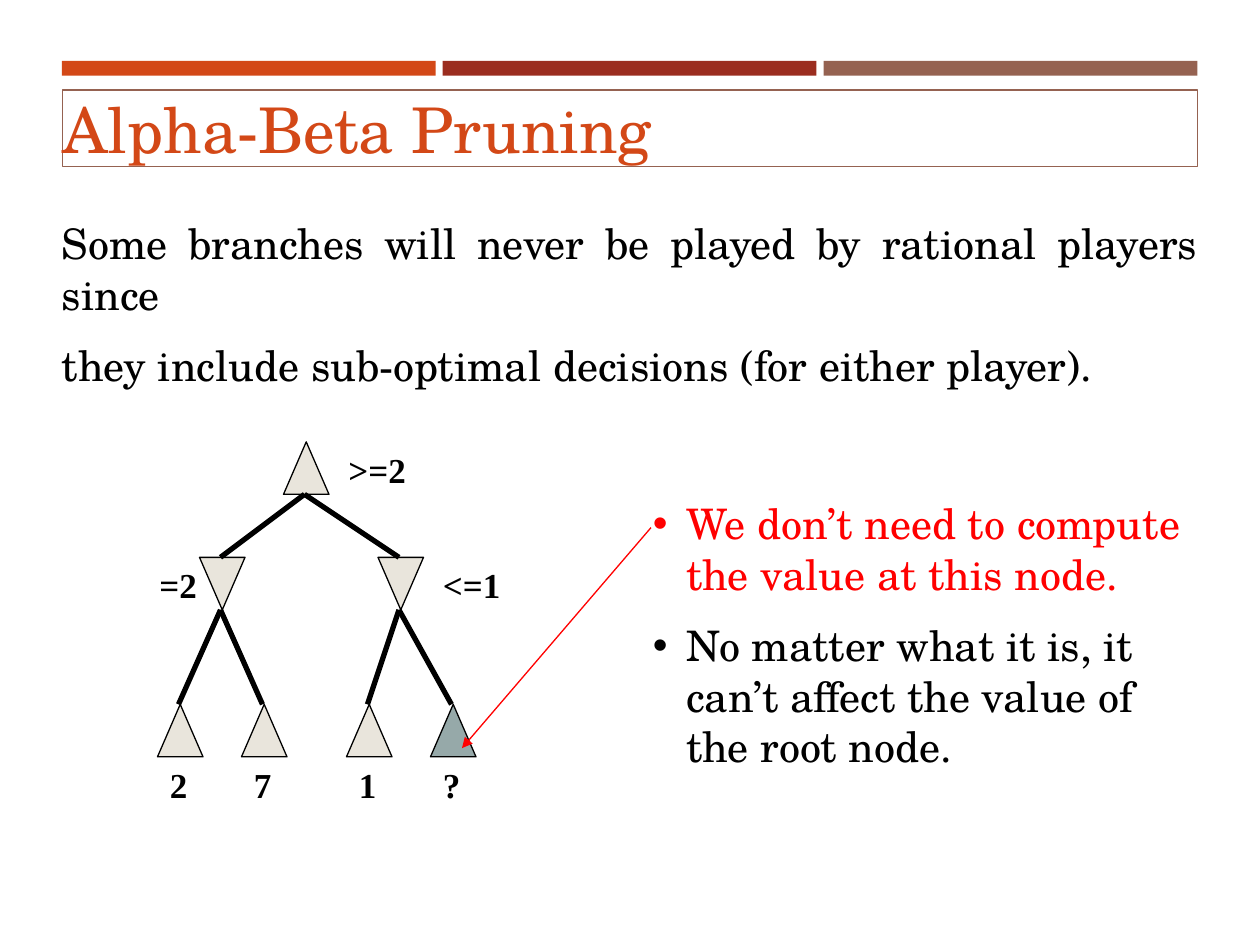
import pptx
import pptx.dml.color
import pptx.enum.shapes
import pptx.enum.text
import pptx.oxml.ns
import pptx.util
import lxml.etree

Pt = pptx.util.Pt
RGBColor = pptx.dml.color.RGBColor
MSO_SHAPE = pptx.enum.shapes.MSO_SHAPE
MSO_ANCHOR = pptx.enum.text.MSO_ANCHOR
MSO_AUTO_SIZE = pptx.enum.text.MSO_AUTO_SIZE
PP_ALIGN = pptx.enum.text.PP_ALIGN

ORANGE = RGBColor(0xD3, 0x48, 0x17)
BRICK = RGBColor(0x9B, 0x2D, 0x1F)
BROWN = RGBColor(0x95, 0x62, 0x51)
CREAM = RGBColor(0xE9, 0xE5, 0xDC)
SAGE = RGBColor(0x96, 0xA9, 0xA9)
BLACK = RGBColor(0, 0, 0)
RED = RGBColor(0xFF, 0, 0)

SERIF = "TeX Gyre Schola"
LABEL_FONT = {"name": "Times New Roman", "size": Pt(20), "bold": True}
TITLE_FONT = {"name": SERIF, "size": Pt(36), "bold": False}
BODY_FONT = {"name": SERIF, "size": Pt(24), "bold": False}
NO_MARGINS = {"margin_left": 0, "margin_top": 0, "margin_right": 0, "margin_bottom": 0,
              "vertical_anchor": MSO_ANCHOR.MIDDLE}

NODE_WIDTH, NODE_HEIGHT = 26, 30
EDGE_OFFSET = 12
ROOT_TOP, MIN_TOP, LEAF_TOP = 252.5, 318.5, 402.5
ROOT_LEFT = 162
BRANCHES = [
    (114, [(90, "2"), (138, "7")]),
    (216, [(198, "1"), (246, "?")]),
]


def set_attributes(target, values):
    for name, value in values.items():
        setattr(target, name, value)


def add_element(parent, tag, **attributes):
    return lxml.etree.SubElement(parent, pptx.oxml.ns.qn(tag), attributes)


def add_shape(slide, kind, left, top, width, height, fill=None, line=None, line_width=0.75):
    shape = slide.shapes.add_shape(kind, Pt(left), Pt(top), Pt(width), Pt(height))
    shape.shadow.inherit = False
    if fill is None:
        shape.fill.background()
    else:
        shape.fill.solid()
        shape.fill.fore_color.rgb = fill
    if line is None:
        shape.line.fill.background()
    else:
        shape.line.color.rgb = line
        shape.line.width = Pt(line_width)
    return shape


def add_node(slide, left, top, fill=CREAM, rotation=0):
    node = add_shape(slide, MSO_SHAPE.ISOSCELES_TRIANGLE, left, top,
                     NODE_WIDTH, NODE_HEIGHT, fill, BLACK)
    node.rotation = rotation


def add_line(slide, start, end, color, width, arrow=False):
    points = [Pt(value) for value in (*start, *end)]
    connector = slide.shapes.add_connector(pptx.enum.shapes.MSO_CONNECTOR.STRAIGHT, *points)
    connector.line.color.rgb = color
    connector.line.width = Pt(width)
    if arrow:
        add_element(connector.line._get_or_add_ln(), "a:tailEnd", type="triangle")
    add_element(connector._element.spPr, "a:effectLst")


def add_edge(slide, parent_left, parent_top, child_left, child_top):
    add_line(slide, (child_left + EDGE_OFFSET, child_top),
             (parent_left + EDGE_OFFSET, parent_top + NODE_HEIGHT), BLACK, 3)


def write_text(shape, lines, font, paragraph_format, frame_format, bullet=None):
    frame = shape.text_frame
    set_attributes(frame, {"word_wrap": True, "auto_size": MSO_AUTO_SIZE.SHAPE_TO_FIT_TEXT,
                           **frame_format})
    for index, (text, color) in enumerate(lines):
        paragraph = frame.add_paragraph() if index else frame.paragraphs[0]
        set_attributes(paragraph, paragraph_format)
        run = paragraph.add_run()
        run.text = text
        set_attributes(run.font, font)
        run.font.color.rgb = color
        if bullet:
            properties = paragraph._p.get_or_add_pPr()
            properties.set("marL", str(Pt(19)))
            properties.set("indent", str(-Pt(19)))
            add_element(properties, "a:buFont", typeface="Arial")
            add_element(properties, "a:buChar", char=bullet)


def add_text(slide, left, top, width, height, lines, font, paragraph_format, frame_format,
             bullet=None):
    box = slide.shapes.add_textbox(Pt(left), Pt(top), Pt(width), Pt(height))
    write_text(box, lines, font, paragraph_format, frame_format, bullet)


def add_label(slide, left, top, width, text):
    add_text(slide, left, top, width, 31, [(text, BLACK)], LABEL_FONT, {},
             {"word_wrap": False})


def add_header(slide):
    for index, color in enumerate((ORANGE, BRICK, BROWN)):
        add_shape(slide, MSO_SHAPE.RECTANGLE, 35.4 + index * 217.6, 34.8, 213.6, 8.4, color)
    title = add_shape(slide, MSO_SHAPE.RECTANGLE, 35.7, 51.3, 648.6, 43.8, None, BROWN, 1)
    write_text(title, [("Alpha-Beta Pruning", ORANGE)], TITLE_FONT,
               {"alignment": PP_ALIGN.LEFT}, NO_MARGINS)


def add_tree(slide):
    add_node(slide, ROOT_LEFT, ROOT_TOP)
    for min_left, leaves in BRANCHES:
        add_node(slide, min_left, MIN_TOP, rotation=180)
        for leaf_left, value in leaves:
            add_node(slide, leaf_left, LEAF_TOP, SAGE if value == "?" else CREAM)
            add_label(slide, leaf_left, LEAF_TOP + NODE_HEIGHT, 24.4, value)
    for min_left, leaves in BRANCHES:
        add_edge(slide, ROOT_LEFT, ROOT_TOP, min_left, MIN_TOP)
        for leaf_left, value in leaves:
            add_edge(slide, min_left, MIN_TOP, leaf_left, LEAF_TOP)
    add_label(slide, 192, ROOT_TOP, 47.2, ">=2")
    add_label(slide, 84, MIN_TOP, 35.9, "=2")
    add_label(slide, 246, MIN_TOP, 47.2, "<=1")


def main():
    presentation = pptx.Presentation()
    presentation.slide_width = Pt(720)
    presentation.slide_height = Pt(540)
    slide = presentation.slides.add_slide(presentation.slide_layouts[6])
    add_header(slide)
    add_tree(slide)
    add_line(slide, (372, 301.5), (264, 427.5), RED, 0.75, arrow=True)
    add_text(slide, 366, 281, 318, 167, [
        ("We don’t need to compute the value at this node.", RED),
        ("No matter what it is, it can’t affect the value of the root node.", BLACK),
    ], BODY_FONT, {"space_after": Pt(12)}, {}, "•")
    add_text(slide, 35.4, 138.5, 648.6, 70.5, [
        ("Some branches will never be played by rational players since", BLACK),
        ("they include sub-optimal decisions (for either player).", BLACK),
    ], BODY_FONT, {"alignment": PP_ALIGN.JUSTIFY, "space_after": Pt(12)}, NO_MARGINS)
    presentation.save("out.pptx")


if __name__ == "__main__":
    main()
